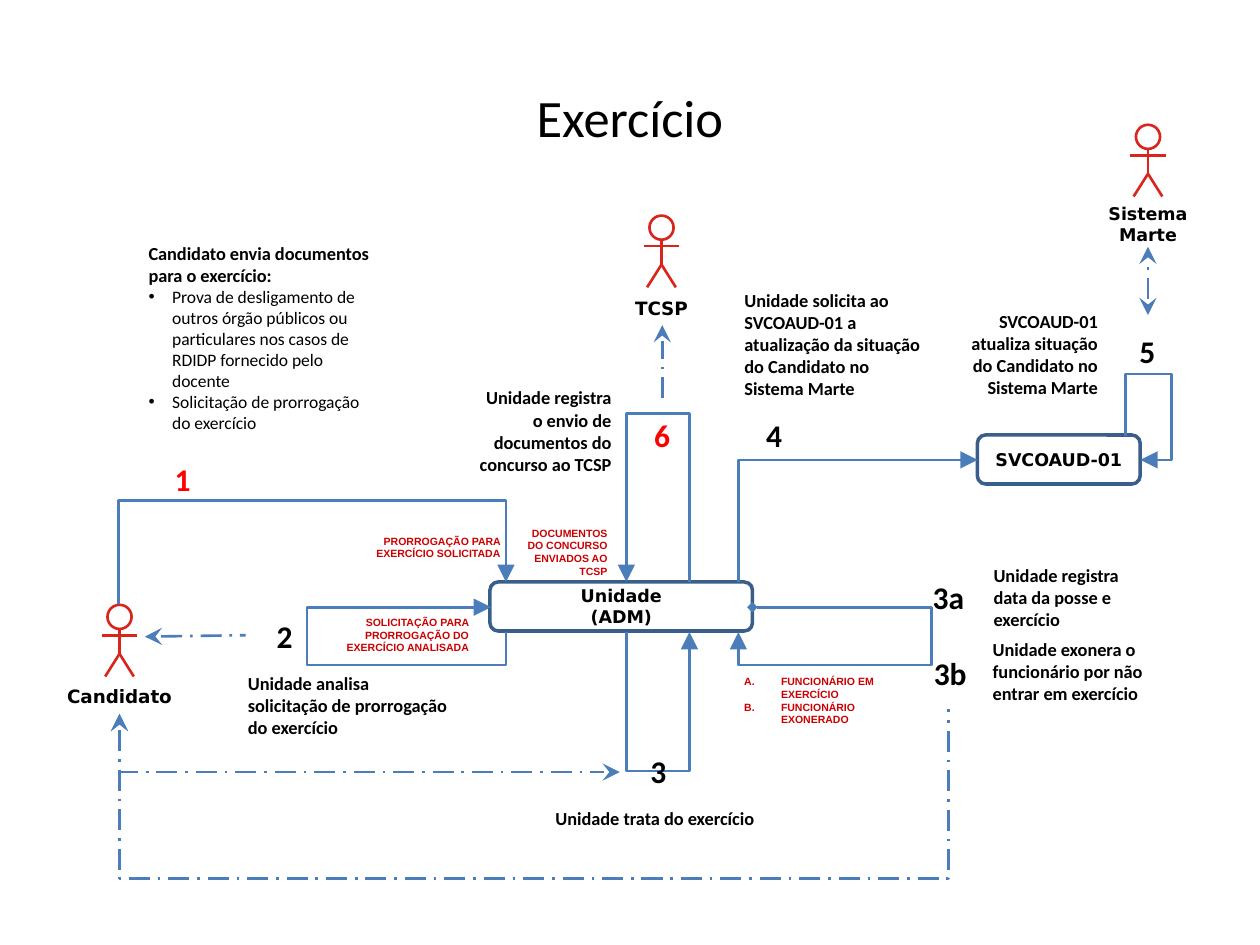
"""Builds the "Exercício" process flow slide."""
import math
from typing import NamedTuple, Optional

import lxml.etree
import pptx
import pptx.dml.color
import pptx.enum.dml
import pptx.enum.shapes
import pptx.enum.text
import pptx.oxml.ns
import pptx.util

Pt = pptx.util.Pt
qn = pptx.oxml.ns.qn
Align = pptx.enum.text.PP_ALIGN
Anchor = pptx.enum.text.MSO_ANCHOR
Shape = pptx.enum.shapes.MSO_SHAPE
Connector = pptx.enum.shapes.MSO_CONNECTOR

BLACK, RED, STATUS_RED = "000000", "FF0000", "CC0000"
FLOW_BLUE, BOX_BLUE, ACTOR_RED = "4A7DBA", "395E89", "DA251D"
MIN_SPAN = 0.05


class Frame(NamedTuple):
    left: float
    top: float
    width: float
    height: float


class Actor(NamedTuple):
    name: str
    center: float
    top: float
    label_top: float
    size: float = 10.5


class Step(NamedTuple):
    name: str
    center: float
    top: float
    color: str = BLACK


class Note(NamedTuple):
    text: str
    frame: Frame
    align: Align = Align.LEFT


class Flow(NamedTuple):
    points: list
    head: Optional[str] = None
    tail: Optional[str] = None
    dashed: bool = False


ACTORS = [
    Actor("Candidato", 68.3, 345.6, 388),
    Actor("TCSP", 378, 123.2, 166.3),
    Actor("Sistema\vMarte", 656, 71.3, 112.4, 10),
]
UNITS = [
    ("Unidade\n(ADM)", Frame(280, 332.6, 150, 28)),
    ("SVCOAUD-01", Frame(558.5, 248.6, 93, 28)),
]
STEPS = [
    Step("1", 104.4, 259.4, RED), Step("2", 162.7, 348.8),
    Step("3", 376.3, 426.2), Step("3a", 542, 326.6),
    Step("3b", 543, 370), Step("4", 442.4, 234),
    Step("5", 655.7, 186.2), Step("6", 378.4, 234, RED),
]
NOTES = [
    Note("Unidade trata do exercício", Frame(310.3, 457.9, 130.3, 24)),
    Note("Unidade exonera o funcionário por não entrar em exercício",
         Frame(560.2, 361.4, 110.2, 45)),
    Note("Unidade registra o envio de documentos do concurso ao TCSP",
         Frame(263.5, 217.4, 93, 63), Align.RIGHT),
    Note("Unidade registra data da posse e exercício", Frame(560.7, 319, 100.8, 41)),
    Note("Unidade analisa solicitação de prorrogação do exercício",
         Frame(134.6, 380.4, 130.3, 42)),
    Note("Unidade solicita ao SVCOAUD-01 a atualização da situação do Candidato "
         "no Sistema Marte", Frame(418.3, 161.5, 115.2, 66)),
    Note("SVCOAUD-01 atualiza situação do Candidato no Sistema Marte",
         Frame(542.2, 173.5, 92.2, 57), Align.RIGHT),
]
STATUSES = [
    Note("PRORROGAÇÃO PARA EXERCÍCIO SOLICITADA",
         Frame(185, 298.3, 108, 24.5), Align.RIGHT),
    Note("SOLICITAÇÃO PARA PRORROGAÇÃO DO EXERCÍCIO ANALISADA",
         Frame(174.2, 344.9, 100.8, 32.4), Align.RIGHT),
    Note("DOCUMENTOS DO CONCURSO ENVIADOS AO TCSP",
         Frame(289.4, 293.8, 64.8, 32.4), Align.RIGHT),
]
FLOWS = [
    Flow([(68.3, 408), (68.3, 441.2), (354.2, 441.2)], "stealth", "stealth", True),
    Flow([(358, 361.2), (358, 431.3), (394, 431.3), (394, 361.2)], tail="triangle"),
    Flow([(430, 347), (532.3, 347), (532.3, 380), (422, 380), (422, 361.2)],
         "diamond", "triangle"),
    Flow([(394, 332.6), (394, 247.6), (358, 247.6), (358, 332.6)], tail="triangle"),
    Flow([(378.4, 227.5), (378.4, 185.8)], tail="stealth", dashed=True),
    Flow([(67.8, 345.4), (67.8, 286.2), (289.2, 286.2), (289.2, 332.6)], tail="triangle"),
    Flow([(289.2, 361.2), (289.2, 380), (175.3, 380), (175.3, 347), (280.6, 347)],
         tail="triangle"),
    Flow([(82.8, 363.8), (140.4, 363)], "stealth", dashed=True),
    Flow([(68.3, 408), (68.3, 501.8), (542, 501.8), (542, 405.4)], "stealth", dashed=True),
    Flow([(422, 332.6), (422, 262.8), (558.7, 262.8)], tail="triangle"),
    Flow([(656, 180), (656, 141)], "stealth", "stealth", True),
    Flow([(643, 249), (643, 213.8), (669.6, 213.8), (669.6, 262.8), (651.6, 262.8)],
         tail="triangle"),
]


def color_of(code: str):
    return pptx.dml.color.RGBColor.from_string(code)


def fill_text(box, text: str, *, size: float, font: str, color: str = BLACK,
              bold: bool = True, align=Align.LEFT, anchor=Anchor.TOP,
              margin: float = 3.6, wrap: bool = True) -> None:
    frame = box.text_frame
    frame.word_wrap = wrap
    frame.vertical_anchor = anchor
    frame.margin_left = frame.margin_right = Pt(7.2)
    frame.margin_top = frame.margin_bottom = Pt(margin)
    frame.text = text
    for paragraph in frame.paragraphs:
        paragraph.alignment = align
        for span in paragraph.runs:
            span.font.size, span.font.name, span.font.bold = Pt(size), font, bold
            span.font.color.rgb = color_of(color)


def add_text(shapes, text: str, frame: Frame, **style):
    box = shapes.add_textbox(*map(Pt, frame))
    fill_text(box, text, **style)
    return box


def set_bullet(paragraph, tag: str, indent: float, hanging: float, **attributes) -> None:
    properties = paragraph._p.get_or_add_pPr()
    properties.set("marL", str(Pt(indent)))
    properties.set("indent", str(-Pt(hanging)))
    lxml.etree.SubElement(properties, qn("a:buFont"), typeface="Arial")
    lxml.etree.SubElement(properties, qn(tag), **attributes)


def add_line(shapes, start, end, color: str, kind=Connector.STRAIGHT):
    line = shapes.add_connector(kind, *map(Pt, (*start, *end)))
    line.line.width = Pt(1.5)
    line.line.color.rgb = color_of(color)
    lxml.etree.SubElement(line._element.spPr, qn("a:effectLst"))
    return line


def bend(line, points: list) -> None:
    """Shape an elbow connector so that it runs through the given points."""
    (x0, y0), (x1, y1), (xe, ye) = points[0], points[1], points[-1]
    angle = math.atan2(y1 - y0, x1 - x0)
    cosine, sine = round(math.cos(angle)), round(math.sin(angle))
    local = [((x - x0) * cosine + (y - y0) * sine, (y - y0) * cosine - (x - x0) * sine)
             for x, y in points]
    across, down = (value or MIN_SPAN for value in local[-1])
    rotation = round(math.degrees(angle)) + (180 if down < 0 else 0)
    width, height = abs(across), abs(down)
    line.left, line.top = Pt((x0 + xe - width) / 2), Pt((y0 + ye - height) / 2)
    line.width, line.height = Pt(width), Pt(height)
    transform = line._element.spPr.find(qn("a:xfrm"))
    for name in ("flipH", "flipV"):
        transform.attrib.pop(name, None)
    transform.set("rot", str(rotation % 360 * 60000))
    if (across < 0) != (down < 0):
        transform.set("flipH", "1")
    geometry = line._element.spPr.find(qn("a:prstGeom"))
    geometry.set("prst", f"bentConnector{len(points) - 1}")
    guides = geometry.find(qn("a:avLst"))
    ratios = [local[1][0] / across, local[2][1] / down][:len(points) - 3]
    for number, ratio in enumerate(ratios, 1):
        lxml.etree.SubElement(guides, qn("a:gd"), name=f"adj{number}",
                              fmla=f"val {round(ratio * 100000)}")


def draw_flow(shapes, flow: Flow) -> None:
    straight = len(flow.points) == 2
    kind = Connector.STRAIGHT if straight else Connector.ELBOW
    line = add_line(shapes, flow.points[0], flow.points[-1], FLOW_BLUE, kind)
    if not straight:
        bend(line, flow.points)
    if flow.dashed:
        line.line.dash_style = pptx.enum.dml.MSO_LINE.LONG_DASH_DOT
    for tag, arrow in (("a:headEnd", flow.head), ("a:tailEnd", flow.tail)):
        if arrow:
            scale = "med" if arrow == "diamond" else "lg"
            lxml.etree.SubElement(line.line._get_or_add_ln(), qn(tag),
                                  type=arrow, w=scale, len=scale)


def draw_actor(shapes, actor: Actor) -> None:
    group = shapes.add_group_shape().shapes
    x, y = actor.center, actor.top
    head = group.add_shape(Shape.OVAL, *map(Pt, (x - 6.9, y, 13.8, 13.8)))
    head.shadow.inherit = False
    head.fill.solid()
    head.fill.fore_color.rgb = color_of("FFFFFF")
    head.line.color.rgb = color_of(ACTOR_RED)
    head.line.width = Pt(1.5)
    hip = (x, y + 28)
    add_line(group, (x, y + 14), hip, ACTOR_RED)
    for side in (-1, 1):
        add_line(group, (x + side * 10, y + 17.4), (x, y + 17.4), ACTOR_RED)
        add_line(group, hip, (x + side * 8.2, y + 41), ACTOR_RED)
    add_text(group, actor.name, Frame(x - 37.5, actor.label_top, 75, 20), size=actor.size,
             font="DejaVu Sans", align=Align.CENTER, wrap=False)


def draw_unit(shapes, name: str, frame: Frame) -> None:
    box = shapes.add_shape(Shape.ROUNDED_RECTANGLE, *map(Pt, frame))
    box.shadow.inherit = False
    box.fill.background()
    box.line.color.rgb = color_of(BOX_BLUE)
    box.line.width = Pt(2)
    fill_text(box, name, size=10, font="DejaVu Sans", align=Align.CENTER, anchor=Anchor.MIDDLE)


def draw_lists(shapes) -> None:
    documents = add_text(
        shapes, "Candidato envia documentos para o exercício:\n"
        "Prova de desligamento de outros órgão públicos ou particulares nos casos de "
        "RDIDP fornecido pelo docente\nSolicitação de prorrogação do exercício",
        Frame(77.8, 134.6, 146.9, 123), size=10.5, font="Calibri")
    for paragraph in documents.text_frame.paragraphs[1:]:
        set_bullet(paragraph, "a:buChar", 13.5, 13.5, char="•")
        for span in paragraph.runs:
            span.font.size, span.font.bold = Pt(10), False
    outcomes = add_text(shapes, "FUNCIONÁRIO EM EXERCÍCIO\nFUNCIONÁRIO EXONERADO",
                        Frame(403.2, 378.7, 113.8, 41), size=6, font="Arial",
                        color=STATUS_RED, margin=7.2)
    for paragraph in outcomes.text_frame.paragraphs:
        set_bullet(paragraph, "a:buAutoNum", 36, 21, type="alphaUcPeriod")


def main() -> None:
    deck = pptx.Presentation()
    deck.slide_width, deck.slide_height = Pt(720), Pt(540)
    page = deck.slides.add_slide(deck.slide_layouts[6])
    shapes = page.shapes
    add_text(shapes, "Exercício", Frame(36, 21.6, 648, 90), size=30, font="Calibri",
             bold=False, align=Align.CENTER, anchor=Anchor.MIDDLE)
    for name, frame in UNITS:
        draw_unit(shapes, name, frame)
    for actor in ACTORS:
        draw_actor(shapes, actor)
    for flow in FLOWS:
        draw_flow(shapes, flow)
    for note in NOTES:
        add_text(shapes, note.text, note.frame, size=10.5, font="Calibri", align=note.align)
    for status in STATUSES:
        add_text(shapes, status.text, status.frame, size=6, font="Arial",
                 color=STATUS_RED, align=status.align, margin=7.2)
    for step in STEPS:
        add_text(shapes, step.name, Frame(step.center - 18, step.top, 36, 29), size=18,
                 font="Calibri", color=step.color, align=Align.CENTER, wrap=False)
    draw_lists(shapes)
    deck.save("out.pptx")


if __name__ == "__main__":
    main()
